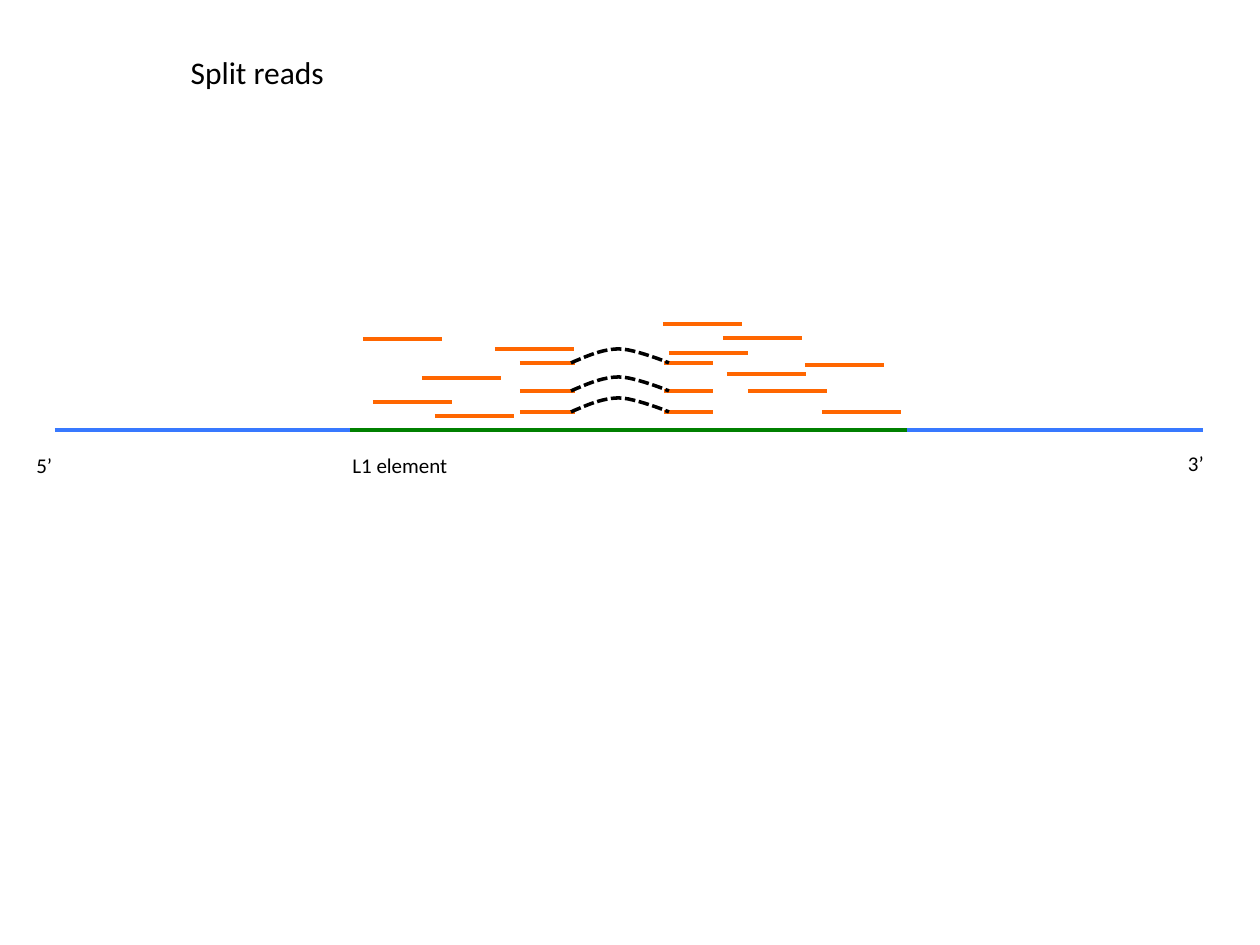
from dataclasses import dataclass

from lxml.etree import SubElement
from pptx import Presentation
from pptx.dml.color import RGBColor
from pptx.enum.dml import MSO_LINE
from pptx.enum.shapes import MSO_CONNECTOR
from pptx.enum.text import MSO_ANCHOR, MSO_AUTO_SIZE, PP_ALIGN
from pptx.oxml.ns import qn
from pptx.util import Inches, Pt

PIXEL = Inches(1) / 126
ORANGE, BLUE, GREEN, BLACK = "FF6600", "3879FF", "008000", "000000"
READ_LENGTH = 79
ARC_STEPS = 12


@dataclass
class Segment:
    left: int
    right: int
    y: int
    color: str = ORANGE


@dataclass
class Label:
    text: str
    left: int
    top: int
    align: PP_ALIGN = PP_ALIGN.LEFT


def emu(pixels: float) -> int:
    return round(pixels * PIXEL)


def rgb(value: str) -> RGBColor:
    return RGBColor.from_string(value)


def format_line(line, color: str) -> None:
    line.color.rgb = rgb(color)
    line.width = Pt(2)


def draw_segment(shapes, segment: Segment) -> None:
    y = emu(segment.y)
    connector = shapes.add_connector(
        MSO_CONNECTOR.STRAIGHT, emu(segment.left), y, emu(segment.right), y)
    format_line(connector.line, segment.color)
    SubElement(connector._element.spPr, qn("a:effectLst"))


def bezier(points: list[tuple[int, int]]) -> list[tuple[int, int]]:
    """Sample a cubic curve, leaving out its first point."""
    result = []
    for step in range(1, ARC_STEPS + 1):
        t = step / ARC_STEPS
        weights = ((1 - t) ** 3, 3 * t * (1 - t) ** 2, 3 * t * t * (1 - t), t ** 3)
        x, y = (sum(w * p[axis] for w, p in zip(weights, points)) for axis in (0, 1))
        result.append((emu(x), emu(y)))
    return result


def draw_split_read(slide, y: int) -> None:
    group = slide.shapes.add_group_shape()
    draw_segment(group.shapes, Segment(520, 575, y))
    draw_segment(group.shapes, Segment(664, 713, y))
    start, top, end = (571, y), (619, y - 14), (669, y)
    rise = [start, (587, y - 7), (603, y - 14), top]
    fall = [top, (635, y - 14), end, end]
    builder = group.shapes.build_freeform(emu(start[0]), emu(y))
    builder.add_line_segments(bezier(rise) + bezier(fall), close=False)
    arc = builder.convert_to_shape()
    arc.shadow.inherit = False
    arc.fill.background()
    format_line(arc.line, BLACK)
    arc.line.dash_style = MSO_LINE.SQUARE_DOT


def write_text(shape, text: str, *, size: int, align: PP_ALIGN = PP_ALIGN.LEFT) -> None:
    frame = shape.text_frame
    frame.word_wrap = True
    frame.auto_size = MSO_AUTO_SIZE.SHAPE_TO_FIT_TEXT
    frame.vertical_anchor = MSO_ANCHOR.TOP
    paragraph = frame.paragraphs[0]
    paragraph.alignment = align
    run = paragraph.add_run()
    run.text = text
    run.font.name = "Calibri"
    run.font.size = Pt(size)
    run.font.color.rgb = rgb(BLACK)


presentation = Presentation()
presentation.slide_width, presentation.slide_height = Inches(10), Inches(7.5)
slide = presentation.slides.add_slide(presentation.slide_layouts[5])

# Title
title = slide.shapes.title
title.left, title.top, title.width, title.height = map(emu, (178, 47, 1099, 50))
write_text(title, "Split reads", size=18)

# Genome with the L1 element
for genome_part in (Segment(55, 1203, 430, BLUE), Segment(350, 907, 430, GREEN)):
    draw_segment(slide.shapes, genome_part)

# Whole reads, by left end and height
READS = [(363, 339), (422, 378), (373, 402), (495, 349), (435, 416), (663, 324),
         (669, 353), (727, 374), (748, 391), (723, 338), (805, 365), (822, 412)]
for left, y in READS:
    draw_segment(slide.shapes, Segment(left, left + READ_LENGTH, y))

# Split reads, joined by dashed arcs
for y in (363, 391, 412):
    draw_split_read(slide, y)

# Labels below the genome
LABELS = [
    Label("L1 element", 340, 446),
    Label("5’ ", 24, 446),
    Label("3’ ", 1033, 444, PP_ALIGN.RIGHT),
]
for label in LABELS:
    box = slide.shapes.add_textbox(emu(label.left), emu(label.top), emu(188), emu(38))
    write_text(box, label.text, size=12, align=label.align)

presentation.save("out.pptx")
